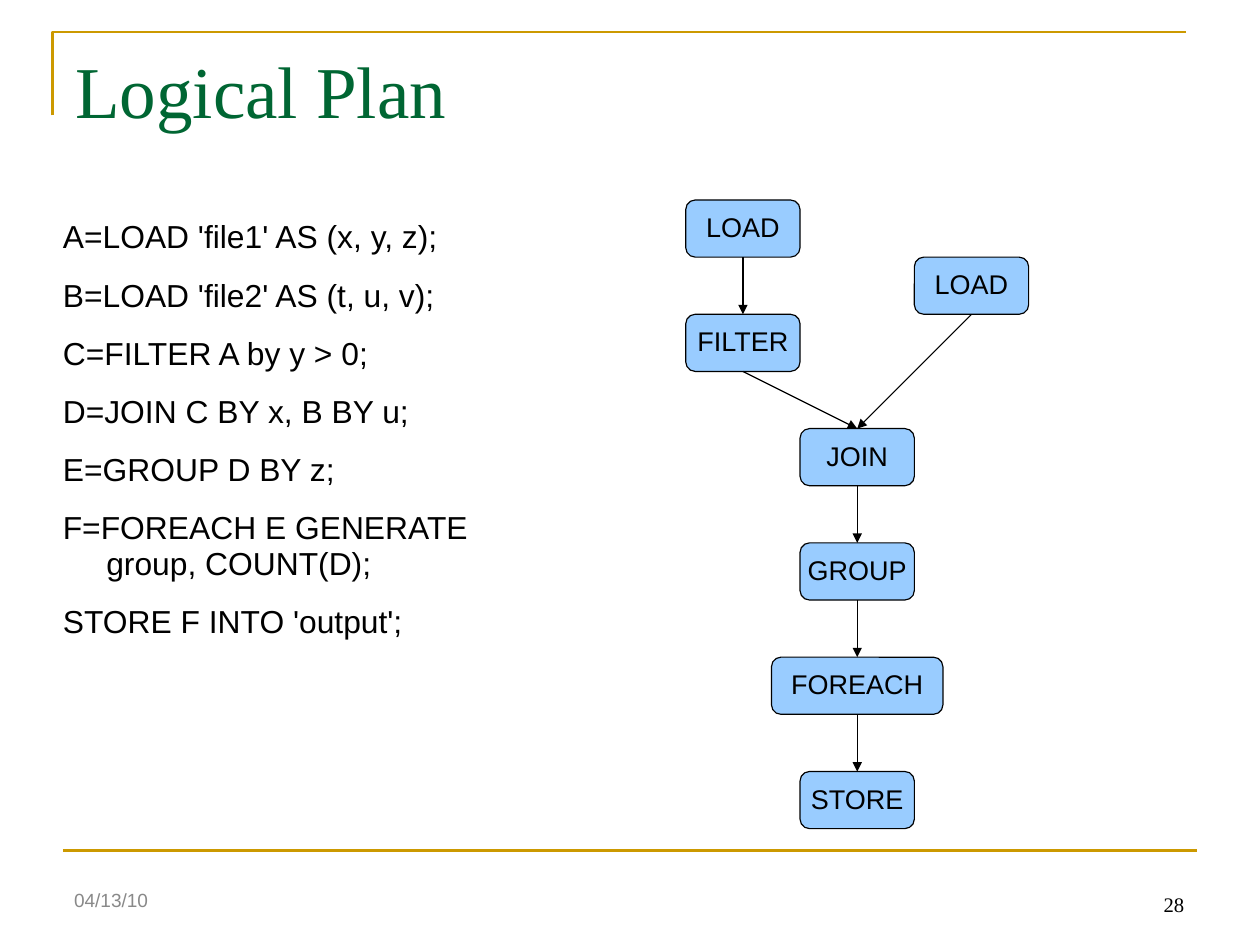
from typing import NamedTuple

from lxml.etree import SubElement
from pptx import Presentation
from pptx.dml.color import RGBColor
from pptx.enum.shapes import MSO_CONNECTOR, MSO_SHAPE
from pptx.enum.text import MSO_ANCHOR, MSO_AUTO_SIZE, PP_ALIGN
from pptx.oxml.ns import qn
from pptx.util import Inches, Pt

COLORS = {"gold": "CC9900", "green": "006633", "blue": "99CCFF",
          "black": "000000", "gray": "898989"}
CM_PER_INCH = 2.54
NODE_H = 0.5
CODE = [
    "A=LOAD 'file1' AS (x, y, z);",
    "B=LOAD 'file2' AS (t, u, v);",
    "C=FILTER A by y > 0;",
    "D=JOIN C BY x, B BY u;",
    "E=GROUP D BY z;",
    "F=FOREACH E GENERATE\vgroup, COUNT(D);",
    "STORE F INTO 'output';",
]


class Node(NamedTuple):
    """An operator of the plan, placed by its top centre."""
    key: str
    label: str
    center: float
    top: float
    width: float = 1.0


class Style(NamedTuple):
    """Font, size and colour of a text."""
    font: str
    size: float
    color: str


NODES = [
    Node("load1", "LOAD", 6.5, 1.75),
    Node("filter", "FILTER", 6.5, 2.75),
    Node("load2", "LOAD", 8.5, 2.25),
    Node("join", "JOIN", 7.5, 3.75),
    Node("group", "GROUP", 7.5, 4.75),
    Node("foreach", "FOREACH", 7.5, 5.75, 1.5),
    Node("store", "STORE", 7.5, 6.75),
]
EDGES = [("load1", "filter"), ("filter", "join"), ("load2", "join"),
         ("join", "group"), ("group", "foreach"), ("foreach", "store")]


def rgb(name: str) -> RGBColor:
    """Look up a colour by name."""
    return RGBColor.from_string(COLORS[name])


def place(sp, left: float, top: float, width: float, height: float) -> None:
    """Move and size a shape."""
    sp.left, sp.top = Inches(left), Inches(top)
    sp.width, sp.height = Inches(width), Inches(height)


def write(sp, text: str, style: Style, anchor=MSO_ANCHOR.TOP, align=PP_ALIGN.LEFT,
          spacing: float = 1.0, inset=(0.1, 0.05), wrap: bool = True) -> None:
    """Fill a shape with text and format it."""
    tf = sp.text_frame
    tf.text = text
    tf.word_wrap = wrap
    tf.auto_size = MSO_AUTO_SIZE.NONE
    tf.vertical_anchor = anchor
    tf.margin_left = tf.margin_right = Inches(inset[0])
    tf.margin_top = tf.margin_bottom = Inches(inset[1])
    for p in tf.paragraphs:
        p.alignment = align
        p.line_spacing = spacing
        p.space_before = Pt(0)
        for r in p.runs:
            r.font.name = style.font
            r.font.size = Pt(style.size)
            r.font.color.rgb = rgb(style.color)


def add_line(s, start, end, color: str, width: float):
    """Add a straight connector without a shadow."""
    cx = s.shapes.add_connector(MSO_CONNECTOR.STRAIGHT, *map(Inches, start + end))
    cx.line.color.rgb = rgb(color)
    cx.line.width = Pt(width)
    SubElement(cx._element.spPr, qn("a:effectLst"))
    return cx


def add_node(s, node: Node):
    """Add the rounded box of an operator."""
    sp = s.shapes.add_shape(MSO_SHAPE.ROUNDED_RECTANGLE, 0, 0, 0, 0)
    place(sp, node.center - node.width / 2, node.top, node.width, NODE_H)
    sp.shadow.inherit = False
    sp.fill.solid()
    sp.fill.fore_color.rgb = rgb("blue")
    sp.line.color.rgb = rgb("black")
    sp.line.width = Pt(0.75)
    write(sp, node.label, Style("Arial", 17, "black"), MSO_ANCHOR.MIDDLE,
          PP_ALIGN.CENTER, 0.93, wrap=False)
    return sp


def add_arrow(s, source, target) -> None:
    """Join the bottom of one box to the top of the next."""
    cx = add_line(s, (0, 0), (0, 0), "black", 0.75)
    cx.begin_connect(source, 2)
    cx.end_connect(target, 0)
    SubElement(cx.line._get_or_add_ln(), qn("a:tailEnd"), type="triangle")


def add_frame(s) -> None:
    """Draw the corner rule and the footer rule."""
    fb = s.shapes.build_freeform(Inches(0.46), Inches(1.01))
    fb.add_line_segments([(Inches(0.46), Inches(0.28)), (Inches(10.38), Inches(0.28))],
                         close=False)
    sp = fb.convert_to_shape()
    sp.shadow.inherit = False
    sp.fill.background()
    sp.line.color.rgb = rgb("gold")
    sp.line.width = Pt(1.5)
    add_line(s, (0.55, 7.44), (10.47, 7.44), "gold", 1.5)


def add_code(sp) -> None:
    """Write the script lines with a hanging indent."""
    place(sp, 0.55, 1.93, 4.45, 5.46)
    write(sp, "\n".join(CODE), Style("Arial", 20, "black"), spacing=0.93, inset=(0, 0))
    for p in sp.text_frame.paragraphs:
        p.space_after = Pt(14.3)
        pPr = p._p.get_or_add_pPr()
        pPr.set("marL", str(Inches(0.38)))
        pPr.set("indent", str(Inches(-0.38)))
        SubElement(pPr, qn("a:buNone"))


def main() -> None:
    """Build the slide."""
    prs = Presentation()
    prs.slide_width = Inches(28 / CM_PER_INCH)
    prs.slide_height = Inches(21 / CM_PER_INCH)
    s = prs.slides.add_slide(prs.slide_layouts[1])
    add_frame(s)

    title, body = s.placeholders
    place(title, 0.55, 0.34, 9.92, 1.37)
    write(title, "Logical Plan", Style("Times New Roman", 46, "green"), inset=(0.11, 0.06))
    add_code(body)

    boxes = {node.key: add_node(s, node) for node in NODES}
    for source, target in EDGES:
        add_arrow(s, boxes[source], boxes[target])

    date = s.shapes.add_textbox(*map(Inches, (0.55, 7.66, 2.57, 0.44)))
    write(date, "04/13/10", Style("Arial", 12, "gray"), MSO_ANCHOR.MIDDLE, spacing=0.93)
    number = s.shapes.add_textbox(*map(Inches, (7.9, 7.53, 2.57, 0.55)))
    write(number, "28", Style("Times New Roman", 13, "black"), MSO_ANCHOR.BOTTOM,
          PP_ALIGN.RIGHT, inset=(0.11, 0.06))
    prs.save("out.pptx")


if __name__ == "__main__":
    main()
